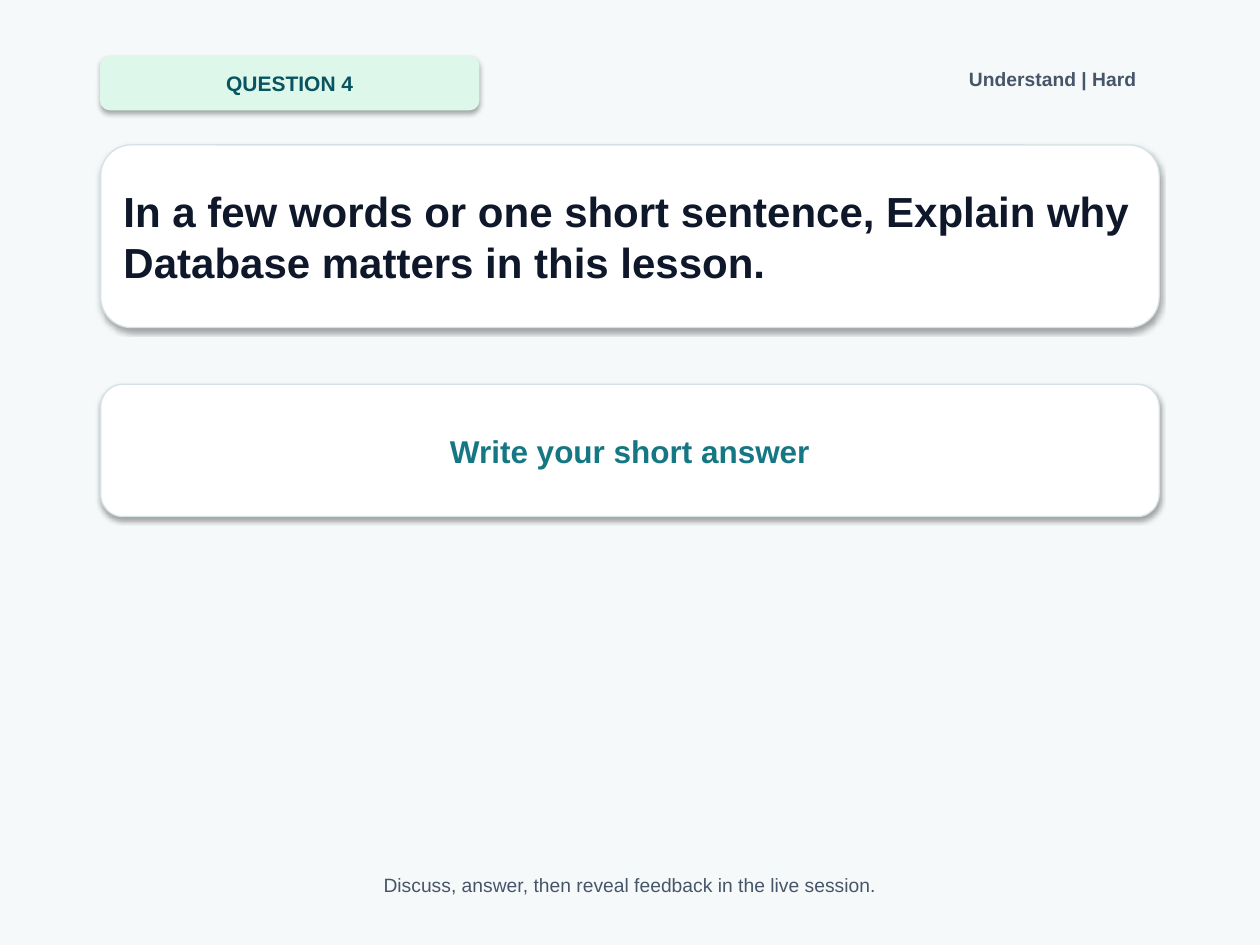
from pptx import Presentation
from pptx.dml.color import RGBColor as Rgb
from pptx.enum.shapes import MSO_SHAPE as Kind
from pptx.enum.text import MSO_ANCHOR as Anchor, MSO_AUTO_SIZE as Auto, PP_ALIGN as Align
from pptx.util import Inches, Pt

HUES = {
    "page": "F6F9FA", "mint": "DEF7EB", "deep": "085461", "slate": "475569",
    "white": "FFFFFF", "edge": "D4E2E5", "ink": "0F172A", "teal": "167784",
}
LEFT, WIDE = 0.8, 8.4


class Quiz:
    font = "Arial"

    def __init__(self, deck):
        self.slide = deck.slides.add_slide(deck.slide_layouts[5])
        self.shapes = self.slide.shapes
        self.paint(self.slide.background.fill, "page")

    def paint(self, fill, hue):
        fill.solid()
        fill.fore_color.rgb = Rgb.from_string(HUES[hue])

    def letter(self, shape, text, size, hue, bold=True, align=Align.CENTER, anchor=Anchor.MIDDLE):
        frame = shape.text_frame
        frame.word_wrap = True
        frame.auto_size = Auto.NONE
        frame.vertical_anchor = anchor
        frame.margin_left = frame.margin_right = Inches(0.18)
        frame.margin_top = frame.margin_bottom = Inches(0.08)
        para = frame.paragraphs[0]
        para.alignment = align
        run = para.add_run()
        run.text = text
        run.font.name = self.font
        run.font.size = Pt(size)
        run.font.bold = bold
        run.font.color.rgb = Rgb.from_string(HUES[hue])

    def card(self, box, fill, edge):
        card = self.shapes.add_shape(Kind.ROUNDED_RECTANGLE, *map(Inches, box))
        self.paint(card.fill, fill)
        self.paint(card.line.fill, edge)
        card.line.width = Pt(0.75)
        return card

    def title(self, box, text, size, hue):
        self.card(box, "white", "edge")
        title = self.shapes.title
        title.left, title.top, title.width, title.height = map(Inches, box)
        self.shapes._spTree.append(title._element)
        self.letter(title, text, size, hue, align=Align.LEFT)

    def label(self, box, text, size, hue, bold, align):
        label = self.shapes.add_textbox(*map(Inches, box))
        self.letter(label, text, size, hue, bold, align, Anchor.TOP)


def main():
    deck = Presentation()
    deck.slide_width, deck.slide_height = Inches(10), Inches(7.5)
    quiz = Quiz(deck)

    badge = quiz.card((LEFT, 0.45, 3, 0.42), "mint", "mint")
    quiz.letter(badge, "QUESTION 4", 12, "deep")
    quiz.label((6, 0.45, 3.2, 0.42), "Understand | Hard", 11, "slate", True, Align.RIGHT)
    quiz.title(
        (LEFT, 1.15, WIDE, 1.45),
        "In a few words or one short sentence, Explain why Database matters in this lesson.",
        24, "ink",
    )
    answer = quiz.card((LEFT, 3.05, WIDE, 1.05), "white", "edge")
    quiz.letter(answer, "Write your short answer", 18, "teal")
    quiz.label(
        (LEFT, 6.85, WIDE, 0.28),
        "Discuss, answer, then reveal feedback in the live session.",
        11, "slate", False, Align.CENTER,
    )
    deck.save("out.pptx")


if __name__ == "__main__":
    main()
